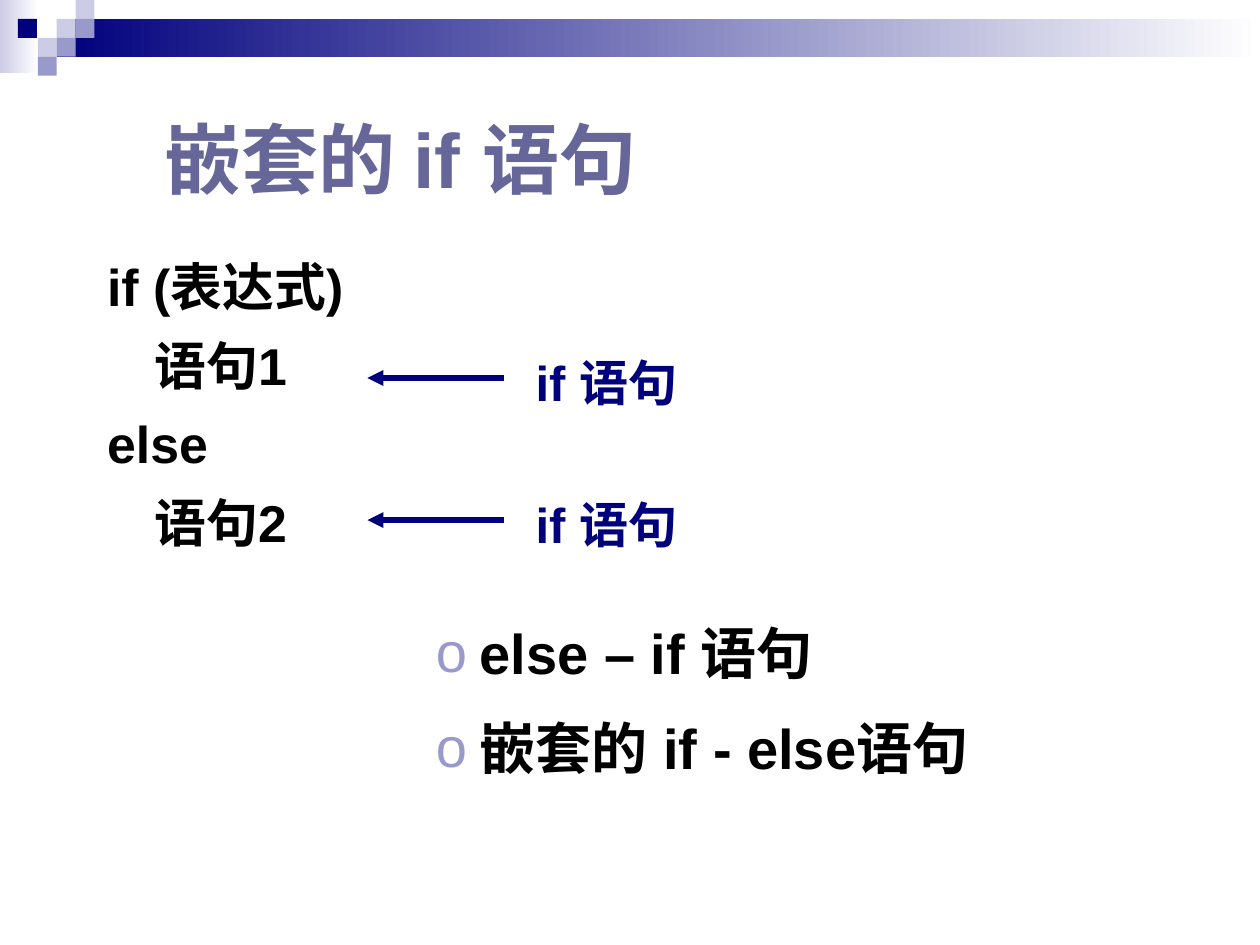
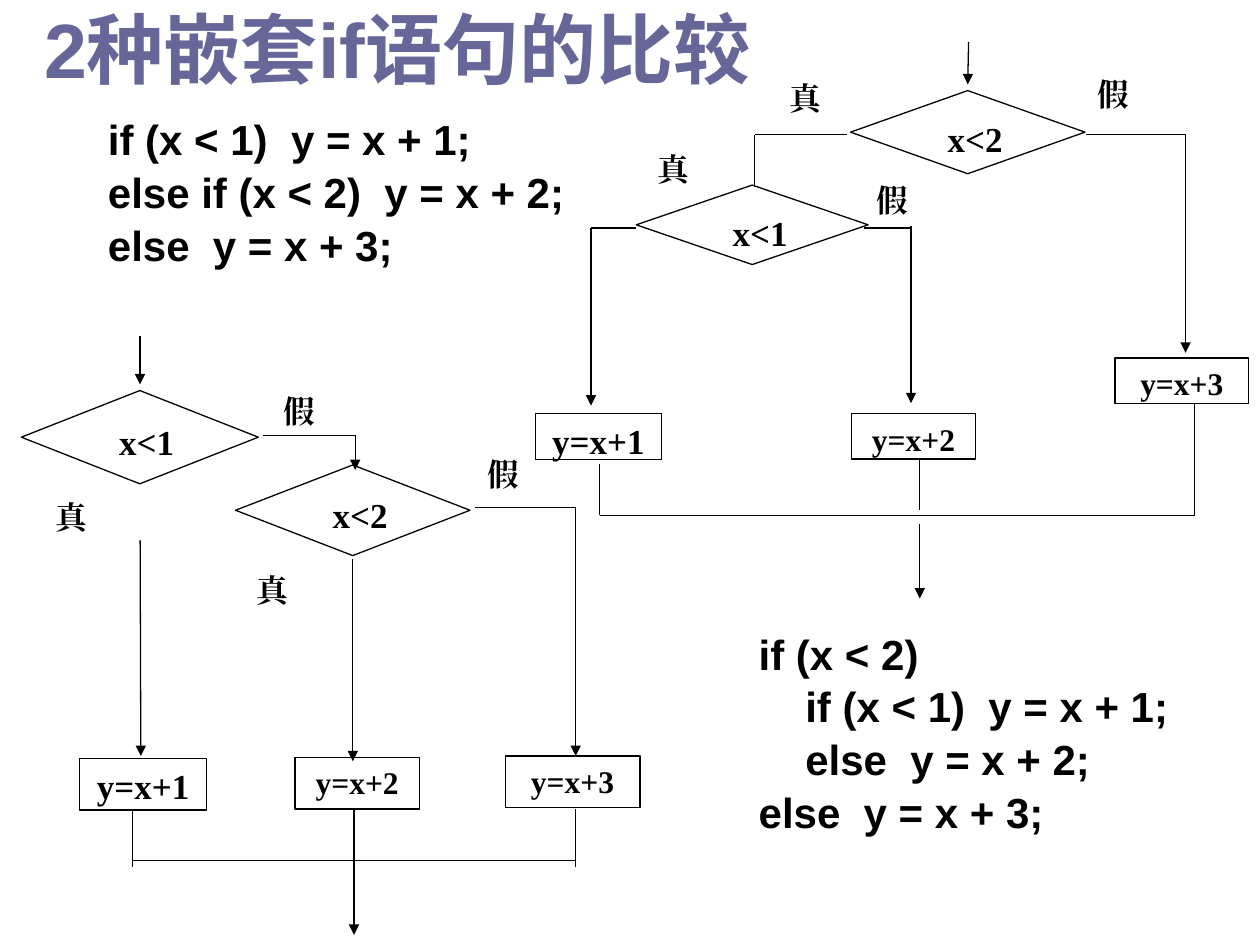
from itertools import cycle

from lxml import etree
from pptx import Presentation
from pptx.dml.color import RGBColor
from pptx.enum import shapes, text
from pptx.oxml import ns
from pptx.util import Pt

NAVY, LAVENDER, PALE = "00007D", "9999CC", "CCCCE6"
BLACK, WHITE, SLATE = "000000", "FFFFFF", "666699"
SANS, SERIF, CJK = "Arial", "Times New Roman", "Noto Sans CJK SC"
CELL = 10.8
SHAPE = shapes.MSO_SHAPE


def rgb(value):
    return RGBColor.from_string(value)


def add_xml(parent, tag, **attributes):
    return etree.SubElement(parent, ns.qn(tag), **attributes)


def place(item, left, top, width, height):
    item.left, item.top = Pt(left), Pt(top)
    item.width, item.height = Pt(width), Pt(height)


def write(frame, lines, size, font=SANS, east=None, color=BLACK, align="LEFT",
          anchor="TOP", lefts=(0,), hang=0, before=0, spacing=None, bullet=None):
    frame.word_wrap = True
    frame.auto_size = text.MSO_AUTO_SIZE.NONE
    frame.vertical_anchor = getattr(text.MSO_ANCHOR, anchor)
    for index, (line, left) in enumerate(zip(lines, cycle(lefts))):
        paragraph = frame.add_paragraph() if index else frame.paragraphs[0]
        paragraph.alignment = getattr(text.PP_ALIGN, align)
        paragraph.space_before = Pt(before if index else 0)
        if spacing:
            paragraph.line_spacing = spacing
        properties = paragraph._p.get_or_add_pPr()
        properties.set("marL", str(Pt(left)))
        properties.set("indent", str(-Pt(hang)))
        if bullet:
            bullet_color = add_xml(properties, "a:buClr")
            add_xml(bullet_color, "a:srgbClr", val=LAVENDER)
            add_xml(properties, "a:buFont", typeface=SANS)
            add_xml(properties, "a:buChar", char=bullet)
        else:
            add_xml(properties, "a:buNone")
        run = paragraph.add_run()
        run.text = line
        run.font.size, run.font.bold = Pt(size), True
        run.font.color.rgb = rgb(color)
        run.font.name = font
        add_xml(run._r.get_or_add_rPr(), "a:ea", typeface=east or font)


def add_title(slide, wording, *box):
    title = slide.shapes.title
    place(title, *box)
    write(title.text_frame, [wording], 44, east=CJK, color=SLATE, anchor="MIDDLE")
    tree = title.element.getparent()
    tree.append(title.element)


def add_body(slide, lines, box, **style):
    body = slide.placeholders[1]
    place(body, *box)
    write(body.text_frame, lines, **style)


def add_text(slide, lines, box, **style):
    frame = slide.shapes.add_textbox(*map(Pt, box)).text_frame
    write(frame, lines, **style)


def add_block(slide, kind, box, fill=WHITE, outline=None):
    block = slide.shapes.add_shape(kind, *map(Pt, box))
    block.shadow.inherit = False
    block.fill.solid()
    block.fill.fore_color.rgb = rgb(fill)
    if outline:
        block.line.color.rgb = rgb(outline)
        block.line.width = Pt(0.75)
    else:
        block.line.fill.background()
    return block


def add_fade(slide, box, start):
    fade = add_block(slide, SHAPE.RECTANGLE, box)
    fade.fill.gradient()
    fade.fill.gradient_angle = 0
    for stop, color in zip(fade.fill.gradient_stops, (start, WHITE)):
        stop.color.rgb = rgb(color)


def style_line(line, color, weight, arrow):
    line.color.rgb = rgb(color)
    line.width = Pt(weight)
    if arrow:
        add_xml(line._get_or_add_ln(), "a:tailEnd", type="triangle")


def add_line(slide, x1, y1, x2, y2, arrow=False, color=BLACK, weight=0.75):
    connector = slide.shapes.add_connector(
        shapes.MSO_CONNECTOR.STRAIGHT, Pt(x1), Pt(y1), Pt(x2), Pt(y2))
    style_line(connector.line, color, weight, arrow)
    add_xml(connector.element.spPr, "a:effectLst")


def add_elbow(slide, x1, y1, x2, y2):
    builder = slide.shapes.build_freeform(Pt(x1), Pt(y1))
    builder.add_line_segments([(Pt(x2), Pt(y1)), (Pt(x2), Pt(y2))], close=False)
    elbow = builder.convert_to_shape()
    elbow.shadow.inherit = False
    elbow.fill.background()
    style_line(elbow.line, BLACK, 0.75, True)


def add_decision(slide, condition, *box):
    diamond = add_block(slide, SHAPE.FLOWCHART_DECISION, box, outline=BLACK)
    diamond.text_frame.margin_left = Pt(22)
    diamond.text_frame.margin_right = 0
    write(diamond.text_frame, [condition], 20, font=SERIF)


def add_process(slide, step, size, *box):
    process = add_block(slide, SHAPE.FLOWCHART_PROCESS, box, outline=BLACK)
    write(process.text_frame, [step], size, font=SERIF, align="CENTER")


def add_branch(slide, answer, *box):
    branch = add_block(slide, SHAPE.RECTANGLE, box)
    branch.text_frame.margin_right = 0
    write(branch.text_frame, [answer], 18, font=SERIF)


def add_flowchart(slide, decisions, processes, lines, arrows, elbows, branches):
    for decision in decisions:
        add_decision(slide, *decision)
    for process in processes:
        add_process(slide, *process)
    for line in lines:
        add_line(slide, *line)
    for arrow in arrows:
        add_line(slide, *arrow, arrow=True)
    for elbow in elbows:
        add_elbow(slide, *elbow)
    for branch in branches:
        add_branch(slide, *branch)


def add_band(slide):
    add_fade(slide, (0, 0, 22, 42), PALE)
    add_fade(slide, (3 * CELL, CELL, 720 - 3 * CELL, 2 * CELL), NAVY)
    squares = {
        PALE: [(3, 1), (4, 0), (2, 2)],
        LAVENDER: [(4, 1), (3, 2), (2, 3)],
        NAVY: [(0.95, 1)],
    }
    for color, cells in squares.items():
        for column, row in cells:
            add_block(slide, SHAPE.RECTANGLE,
                      (column * CELL, row * CELL, CELL, CELL), fill=color)


def build_nested_if(slide):
    add_band(slide)
    add_title(slide, "嵌套的 if 语句", 87, 36, 362, 108)
    add_body(slide, ["if (表达式)", "语句1", "else", "语句2"], (54, 142, 233, 177),
             size=29.6, lefts=(0, 27), before=9.4)
    for arrow_y, label_top in ((216, 198), (297.2, 279.2)):
        add_text(slide, ["if 语句"], (252, label_top, 164, 42),
                 size=28, color=NAVY, lefts=(47,))
        add_line(slide, 288, arrow_y, 210, arrow_y, arrow=True, color=NAVY, weight=3)
    add_text(slide, ["else – if 语句", "嵌套的 if - else语句"], (222, 354, 360, 131),
             size=32, lefts=(45,), hang=25, before=20, spacing=0.9, bullet="o")


def build_comparison(slide):
    code = dict(size=24, lefts=(42.5,), before=6, spacing=0.84)
    add_body(slide, ["if (x < 1)  y = x + 1;", "else if (x < 2)  y = x + 2;",
                     "else  y = x + 3;"], (12, 66, 342, 102), **code)
    add_text(slide, ["if (x < 2)", "    if (x < 1)  y = x + 1;",
                     "    else  y = x + 2;", "else  y = x + 3;"],
             (384, 360, 324, 144), **code)
    add_flowchart(
        slide,
        decisions=[("x<2", 486, 51.8, 134, 47.5), ("x<1", 363.6, 105.8, 132.5, 45.4)],
        processes=[("y=x+1", 20, 306, 236.2, 72, 26.6),
                   ("y=x+2", 18, 486.7, 236.2, 70.6, 26),
                   ("y=x+3", 18, 637.2, 204.5, 76.3, 26)],
        lines=[(682.6, 230.4, 682.6, 294.5), (342.7, 265, 342.7, 294.5),
               (342.7, 294.5, 682.6, 294.5), (431.3, 77, 483.8, 77),
               (431.3, 77, 431.3, 106.6), (337.7, 130.3, 363.6, 130.3),
               (494, 130.3, 520.6, 130.3), (525.6, 262.8, 525.6, 291.6)],
        arrows=[(553.5, 24, 553, 48.2), (337.7, 130.3, 337.7, 231.8),
                (520.6, 129, 520.6, 230.4), (525.6, 299.5, 525.6, 342)],
        elbows=[(620.6, 77, 677.5, 201.6)],
        branches=[("真", 444.2, 41.8, 50.4, 24.5), ("假", 620, 39.6, 32.4, 24.5),
                  ("真", 368.6, 82, 55.4, 24.5), ("假", 494, 100, 36.7, 24.5)])
    add_flowchart(
        slide,
        decisions=[("x<1", 12.2, 223.2, 135.4, 53.3), ("x<2", 134.6, 265.7, 134, 51.8)],
        processes=[("y=x+1", 20, 45.4, 433.4, 72.7, 29.5),
                   ("y=x+2", 18, 168.5, 432.7, 71.3, 29.5),
                   ("y=x+3", 18, 288.7, 432, 77, 29.5)],
        lines=[(329, 462.2, 329, 495.4), (75.6, 462.2, 75.6, 495.4),
               (75.6, 491.8, 329, 491.8)],
        arrows=[(80, 283, 80.5, 432), (201.6, 319.7, 201.6, 435),
                (80, 192.2, 80, 219.6), (202.3, 462.2, 202.3, 534.2)],
        elbows=[(150.5, 249, 203, 268.6), (271.4, 290.2, 329, 432)],
        branches=[("假", 154.8, 220.3, 37.4, 28), ("真", 24.5, 280.8, 56.2, 28),
                  ("假", 271.4, 256.3, 32.4, 28), ("真", 139.7, 322.6, 56.2, 28)])
    add_title(slide, "2种嵌套if语句的比较", 18, 0, 455, 54)


def main():
    deck = Presentation()
    deck.slide_width, deck.slide_height = Pt(720), Pt(540)
    for build in (build_nested_if, build_comparison):
        build(deck.slides.add_slide(deck.slide_layouts[1]))
    deck.save("out.pptx")


if __name__ == "__main__":
    main()
